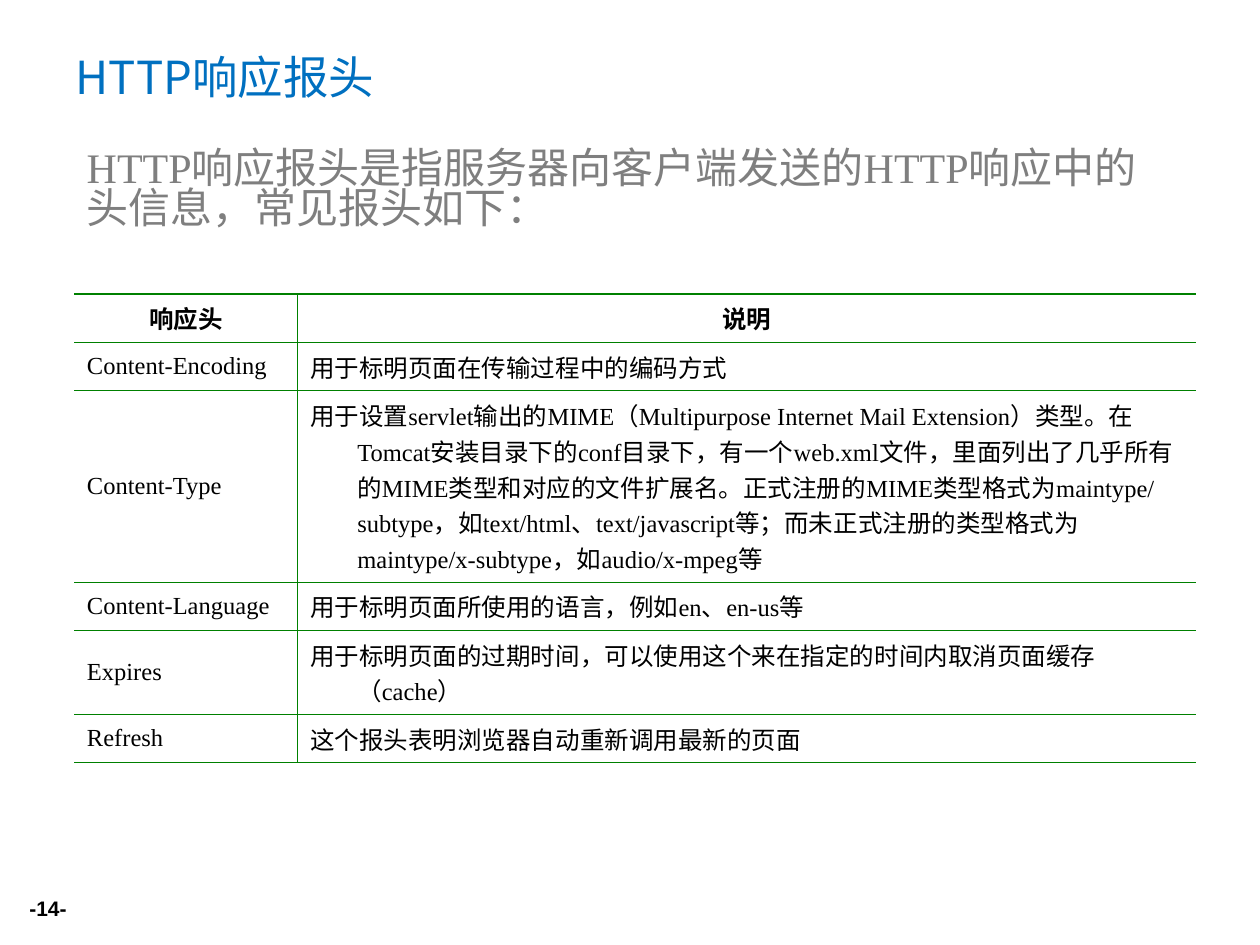
from dataclasses import dataclass

from lxml.etree import SubElement
from pptx import Presentation
from pptx.dml.color import RGBColor
from pptx.enum.text import MSO_ANCHOR as Anchor, MSO_AUTO_SIZE as AutoSize, PP_ALIGN as Align
from pptx.oxml.ns import qn
from pptx.util import Pt

CJK_FONT = "Noto Sans CJK SC"
SERIF_FONT = "Times New Roman"
GREEN = "008000"
THIN, THICK = 0.45, 0.75


@dataclass(frozen=True)
class Style:
    size: float
    font: str
    color: str
    bold: bool = False


@dataclass(frozen=True)
class Frame:
    left: float
    top: float
    width: float
    height: float

    def lengths(self) -> tuple:
        return Pt(self.left), Pt(self.top), Pt(self.width), Pt(self.height)


@dataclass(frozen=True)
class Header:
    name: str
    meaning: str
    height: float = 26


TITLE = Style(26, CJK_FONT, "0070C0")
INTRO = Style(24, SERIF_FONT, "7F7F7F")
HEADING = Style(14, SERIF_FONT, "000000", True)
ENTRY = Style(14, SERIF_FONT, "000000")
NUMBER = Style(12, "Arial", "000000", True)

HEADERS = [
    Header("响应头", "说明"),
    Header("Content-Encoding", "用于标明页面在传输过程中的编码方式"),
    Header(
        "Content-Type",
        "用于设置servlet输出的MIME（Multipurpose Internet Mail Extension）类型。"
        "在Tomcat安装目录下的conf目录下，有一个web.xml文件，"
        "里面列出了几乎所有的MIME类型和对应的文件扩展名。"
        "正式注册的MIME类型格式为maintype/subtype，如text/html、text/javascript等；"
        "而未正式注册的类型格式为maintype/x-subtype，如audio/x-mpeg等",
        98.6,
    ),
    Header("Content-Language", "用于标明页面所使用的语言，例如en、en-us等"),
    Header("Expires", "用于标明页面的过期时间，可以使用这个来在指定的时间内取消页面缓存（cache）", 41),
    Header("Refresh", "这个报头表明浏览器自动重新调用最新的页面"),
]
COLUMN_WIDTHS = [127.5, 513.3]


def color(value: str) -> RGBColor:
    return RGBColor.from_string(value)


def add_span(para, text: str, style: Style) -> None:
    span = para.add_run()
    span.text = text
    span.font.size = Pt(style.size)
    span.font.bold = style.bold
    span.font.name = style.font
    span.font.color.rgb = color(style.color)
    east_asian = SubElement(span.font._element, qn("a:ea"))
    east_asian.set("typeface", CJK_FONT)


def add_box(page, frame: Frame, text: str, style: Style, anchor: Anchor):
    box = page.shapes.add_textbox(*frame.lengths())
    box.text_frame.word_wrap = True
    box.text_frame.vertical_anchor = anchor
    para = box.text_frame.paragraphs[0]
    add_span(para, text, style)
    return para


def add_border(cell, side: str, width: float) -> None:
    line = SubElement(cell._tc.get_or_add_tcPr(), qn(f"a:ln{side}"))
    line.set("w", str(Pt(width)))
    if width:
        fill = SubElement(line, qn("a:solidFill"))
        SubElement(fill, qn("a:srgbClr")).set("val", GREEN)
    else:
        SubElement(line, qn("a:noFill"))


def fill_cell(cell, text: str, style: Style, align: Align) -> None:
    cell.fill.background()
    cell.vertical_anchor = Anchor.MIDDLE
    cell.margin_left = cell.margin_right = Pt(7.2)
    cell.margin_top = cell.margin_bottom = Pt(3.6)
    para = cell.text_frame.paragraphs[0]
    para.alignment = align
    indent = para._p.get_or_add_pPr()
    indent.set("marL", str(Pt(27)))
    indent.set("indent", str(Pt(-27)))
    add_span(para, text, style)


def add_header_table(page, frame: Frame, headers: list[Header]) -> None:
    table = page.shapes.add_table(len(headers), len(COLUMN_WIDTHS), *frame.lengths()).table
    table.first_row = table.horz_banding = False
    for column, width in zip(table.columns, COLUMN_WIDTHS):
        column.width = Pt(width)
    last = len(headers) - 1
    for index, header in enumerate(headers):
        table.rows[index].height = Pt(header.height)
        style, align = (ENTRY, Align.LEFT) if index else (HEADING, Align.CENTER)
        for place, text in enumerate((header.name, header.meaning)):
            cell = table.cell(index, place)
            add_border(cell, "L", THIN if place else 0)
            add_border(cell, "R", 0 if place else THIN)
            add_border(cell, "T", THIN if index else THICK)
            add_border(cell, "B", THICK if index == last else THIN)
            fill_cell(cell, text, style, align)


def add_title(page, frame: Frame, text: str) -> None:
    title = page.shapes.title
    title.left, title.top, title.width, title.height = frame.lengths()
    title.text_frame.auto_size = AutoSize.NONE
    title.text_frame.vertical_anchor = Anchor.MIDDLE
    para = title.text_frame.paragraphs[0]
    para.alignment = Align.LEFT
    add_span(para, text, TITLE)


def main() -> None:
    deck = Presentation()
    deck.slide_width, deck.slide_height = Pt(720), Pt(540)
    page = deck.slides.add_slide(deck.slide_layouts[5])
    add_title(page, Frame(36, 21.6, 648, 44), "HTTP响应报头")
    add_header_table(page, Frame(42.5, 168, 640.8, 244), HEADERS)
    number = add_box(page, Frame(-5.8, 508.3, 51, 21), "-14-", NUMBER, Anchor.MIDDLE)
    number.alignment = Align.RIGHT
    intro = add_box(
        page,
        Frame(42.5, 82.8, 629.3, 64.8),
        "HTTP响应报头是指服务器向客户端发送的HTTP响应中的头信息，常见报头如下：",
        INTRO,
        Anchor.TOP,
    )
    intro.line_spacing = 0.8
    deck.save("out.pptx")


if __name__ == "__main__":
    main()
